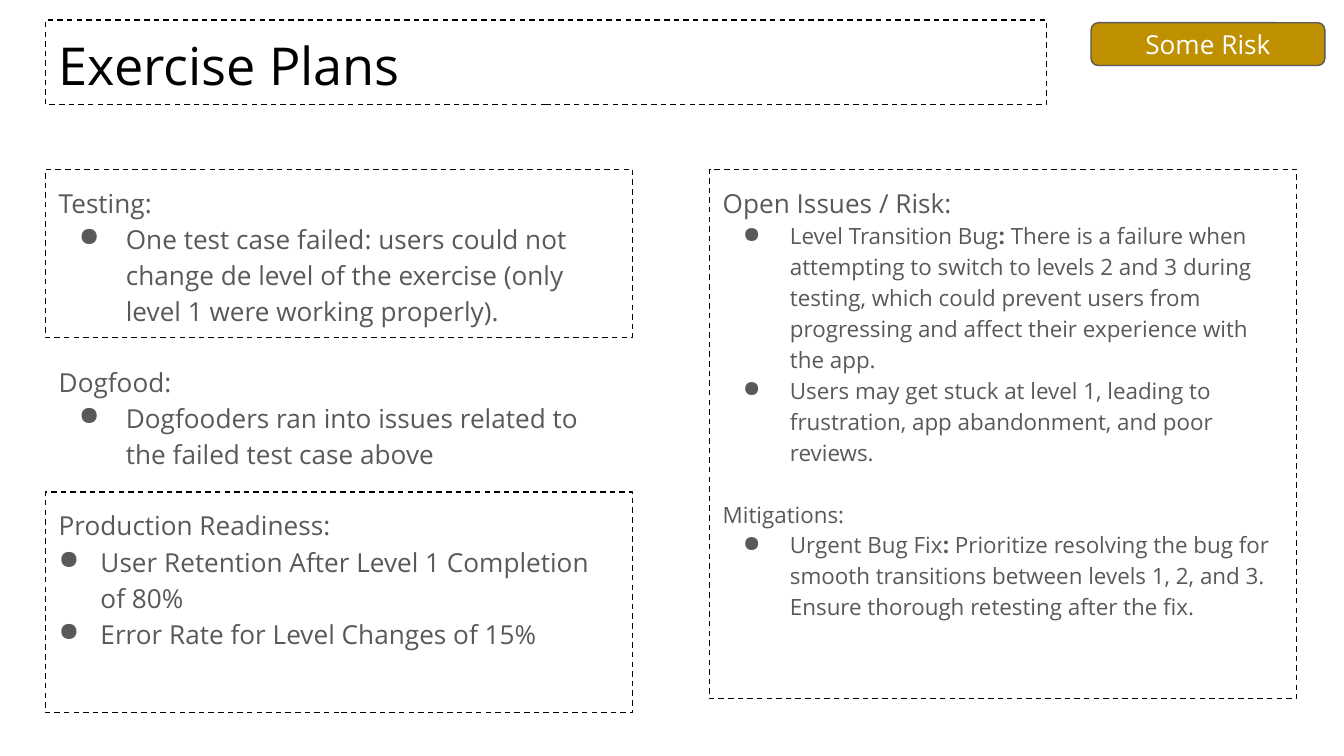
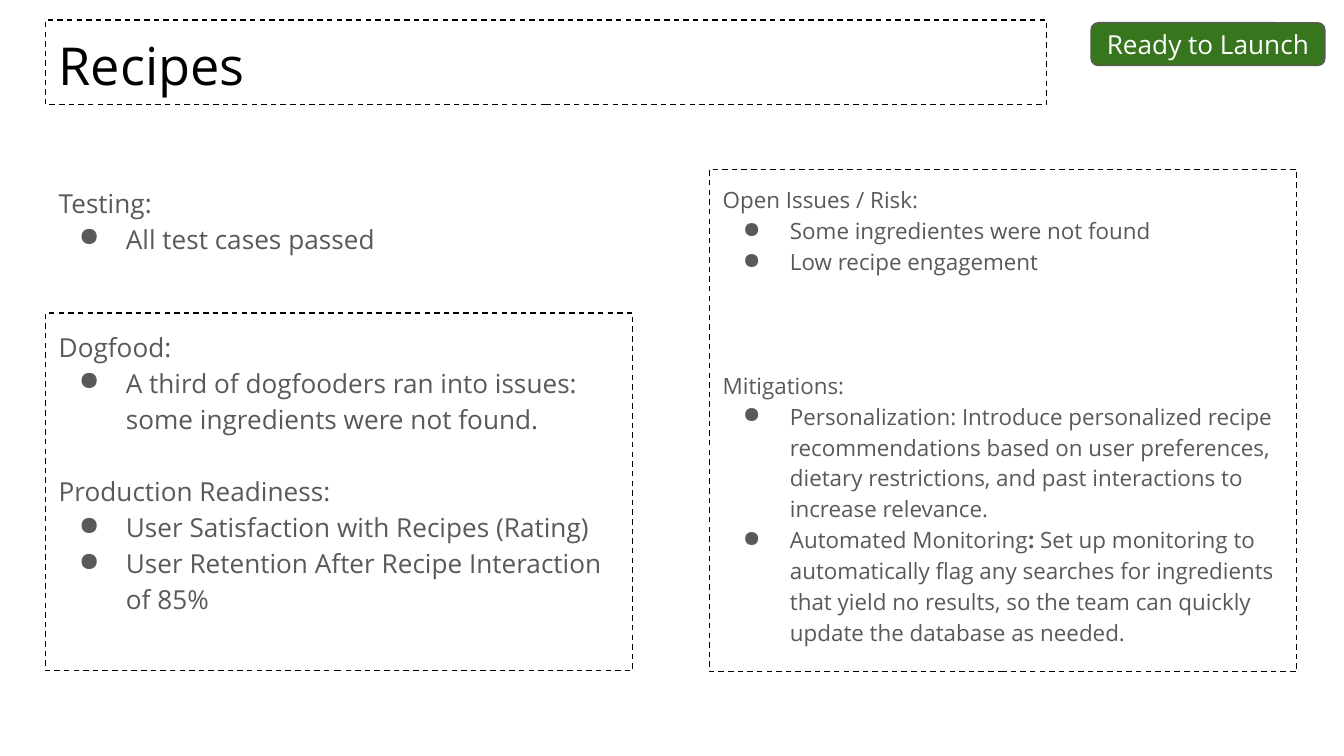
from lxml.etree import SubElement
from pptx import Presentation
from pptx.dml.color import RGBColor
from pptx.enum.dml import MSO_LINE
from pptx.enum.shapes import MSO_SHAPE
from pptx.enum.text import MSO_ANCHOR, PP_ALIGN
from pptx.oxml.ns import qn
from pptx.util import Cm, Pt

FONT = "Open Sans"
BLACK, GRAY, WHITE = "000000", "595959", "FFFFFF"
AMBER, GREEN = "BF9000", "38761D"
LEFT, RIGHT, TOP, COLUMN = 0.86, 13.41, 3.2, 11.1
LINE_HEIGHT = 1.38  # height of a line relative to its font size
WIDE, NARROW = (1.27, -0.89), (0.79, -0.79)  # bullet margin and indent


def color(hex_value):
    return RGBColor.from_string(hex_value)


def write(box, paragraphs, ink):
    """Fill a box with (text, size, bullet, blank lines before); ** marks bold."""
    frame = box.text_frame
    frame.word_wrap = True
    frame.margin_left = frame.margin_right = Cm(0.25)
    frame.margin_top = frame.margin_bottom = Cm(0.25)
    for index, (text, size, bullet, gap) in enumerate(paragraphs):
        para = frame.paragraphs[0] if index == 0 else frame.add_paragraph()
        if gap:
            para.space_before = Pt(round(gap * size * LINE_HEIGHT, 1))
        if bullet:
            properties = para._p.get_or_add_pPr()
            margin, indent = bullet
            properties.set("marL", str(Cm(margin)))
            properties.set("indent", str(Cm(indent)))
            bullet_color = SubElement(properties, qn("a:buClr"))
            SubElement(bullet_color, qn("a:srgbClr"), val=ink)
            SubElement(properties, qn("a:buChar"), char="●")
        para.font.name = FONT
        para.font.size = Pt(size)
        para.font.color.rgb = color(ink)
        for part, words in enumerate(text.split("**")):
            span = para.add_run()
            span.text = words
            if part % 2:
                span.font.bold = True


# Each block: left, top, height, dashed frame, paragraphs
pages = [
    ("Exercise Plans", "Some Risk", AMBER, [
        (LEFT, TOP, 3.18, True, [
            ("Testing:", 14, None, 0),
            ("One test case failed: users could not change de level of the "
             "exercise (only level 1 were working properly).", 14, WIDE, 0),
        ]),
        (LEFT, 6.58, 2.49, False, [
            ("Dogfood:", 14, None, 0),
            ("Dogfooders ran into issues related to the failed test case above",
             14, WIDE, 0),
        ]),
        (LEFT, 9.3, 4.17, True, [
            ("Production Readiness:", 14, None, 0),
            ("User Retention After Level 1 Completion of 80%", 14, NARROW, 0),
            ("Error Rate for Level Changes of 15%", 14, NARROW, 0),
        ]),
        (RIGHT, TOP, 10.01, True, [
            ("Open Issues / Risk:", 14, None, 0),
            ("Level Transition Bug**:** There is a failure when attempting to "
             "switch to levels 2 and 3 during testing, which could prevent users "
             "from progressing and affect their experience with the app.",
             12, WIDE, 0),
            ("Users may get stuck at level 1, leading to frustration, app "
             "abandonment, and poor reviews.", 12, WIDE, 0),
            ("Mitigations:", 12, None, 1),
            ("Urgent Bug Fix**:** Prioritize resolving the bug for smooth "
             "transitions between levels 1, 2, and 3. Ensure thorough retesting "
             "after the fix.", 12, WIDE, 0),
        ]),
    ]),
    ("Recipes", "Ready to Launch", GREEN, [
        (LEFT, TOP, 2.11, False, [
            ("Testing:", 14, None, 0),
            ("All test cases passed", 14, WIDE, 0),
        ]),
        (LEFT, 5.92, 6.76, True, [
            ("Dogfood:", 14, None, 0),
            ("A third of dogfooders ran into issues: some ingredients were not "
             "found.", 14, WIDE, 0),
            ("Production Readiness:", 14, None, 1),
            ("User Satisfaction with Recipes (Rating)", 14, WIDE, 0),
            ("User Retention After Recipe Interaction of 85%", 14, WIDE, 0),
        ]),
        (RIGHT, TOP, 9.5, True, [
            ("Open Issues / Risk:", 12, None, 0),
            ("Some ingredientes were not found", 12, WIDE, 0),
            ("Low recipe engagement", 12, WIDE, 0),
            ("Mitigations:", 12, None, 3),
            ("Personalization: Introduce personalized recipe recommendations "
             "based on user preferences, dietary restrictions, and past "
             "interactions to increase relevance.", 12, WIDE, 0),
            ("Automated Monitoring**:** Set up monitoring to automatically flag "
             "any searches for ingredients that yield no results, so the team "
             "can quickly update the database as needed.", 12, WIDE, 0),
        ]),
    ]),
]

deck = Presentation()
deck.slide_width, deck.slide_height = Cm(25.4), Cm(14.29)

for title, status, status_fill, blocks in pages:
    page = deck.slides.add_slide(deck.slide_layouts[6])

    # Title and body blocks
    title_box = page.shapes.add_textbox(Cm(LEFT), Cm(0.38), Cm(18.92), Cm(1.6))
    write(title_box, [(title, 28, None, 0)], BLACK)
    framed = [title_box]
    for left, top, height, has_frame, paragraphs in blocks:
        box = page.shapes.add_textbox(Cm(left), Cm(top), Cm(COLUMN), Cm(height))
        write(box, paragraphs, GRAY)
        for para in box.text_frame.paragraphs:
            para.line_spacing = 1.15
        if has_frame:
            framed.append(box)

    # Dashed frames
    for box in framed:
        box.line.color.rgb = color(BLACK)
        box.line.width = Pt(0.75)
        box.line.dash_style = MSO_LINE.DASH

    # Status badge
    badge = page.shapes.add_shape(
        MSO_SHAPE.ROUNDED_RECTANGLE, Cm(20.62), Cm(0.43), Cm(4.42), Cm(0.81))
    badge.shadow.inherit = False
    badge.adjustments[0] = 0.17
    badge.fill.solid()
    badge.fill.fore_color.rgb = color(status_fill)
    badge.line.color.rgb = color(GRAY)
    badge.line.width = Pt(0.75)
    write(badge, [(status, 14, None, 0)], WHITE)
    badge.text_frame.vertical_anchor = MSO_ANCHOR.MIDDLE
    badge.text_frame.paragraphs[0].alignment = PP_ALIGN.CENTER

deck.save("out.pptx")
